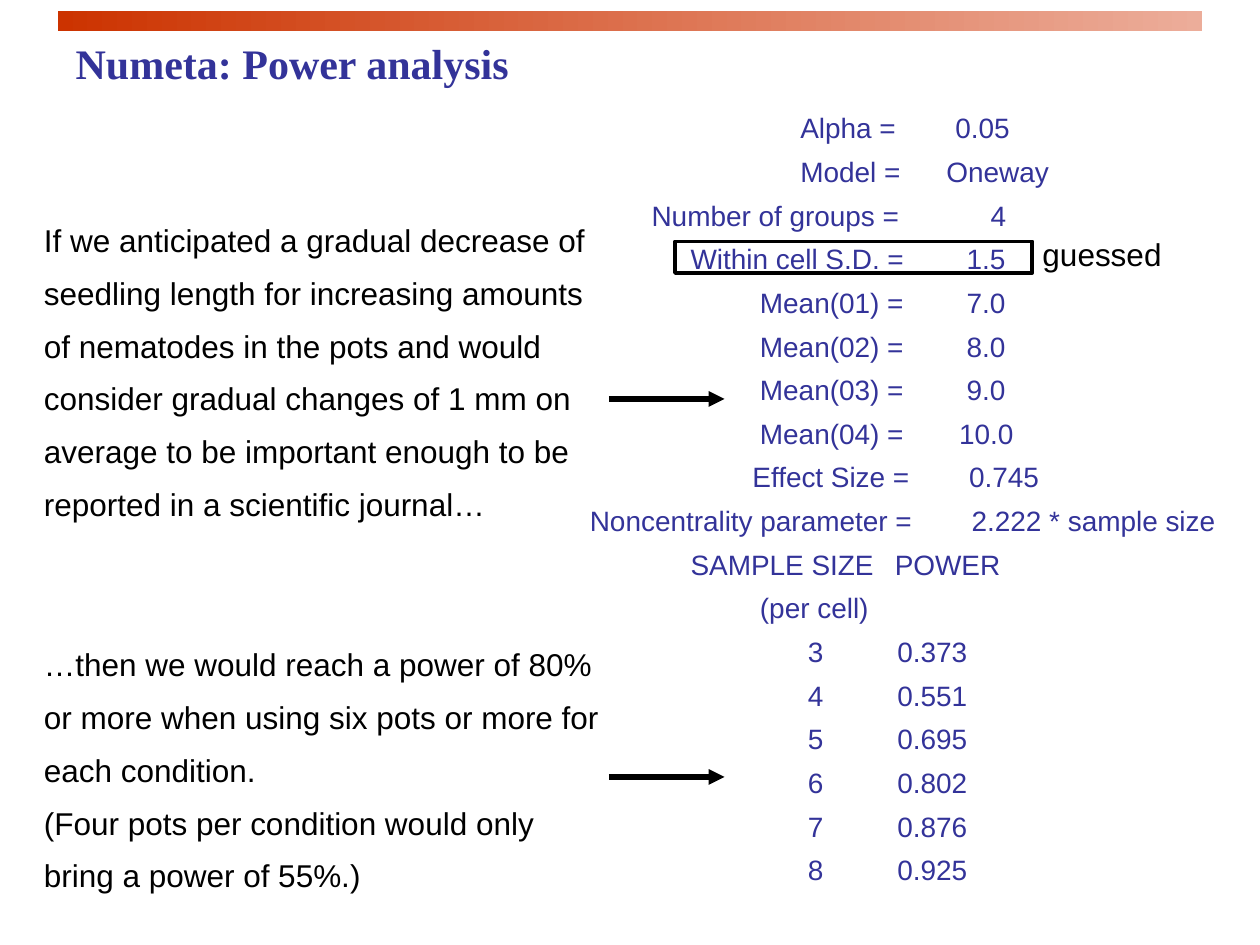
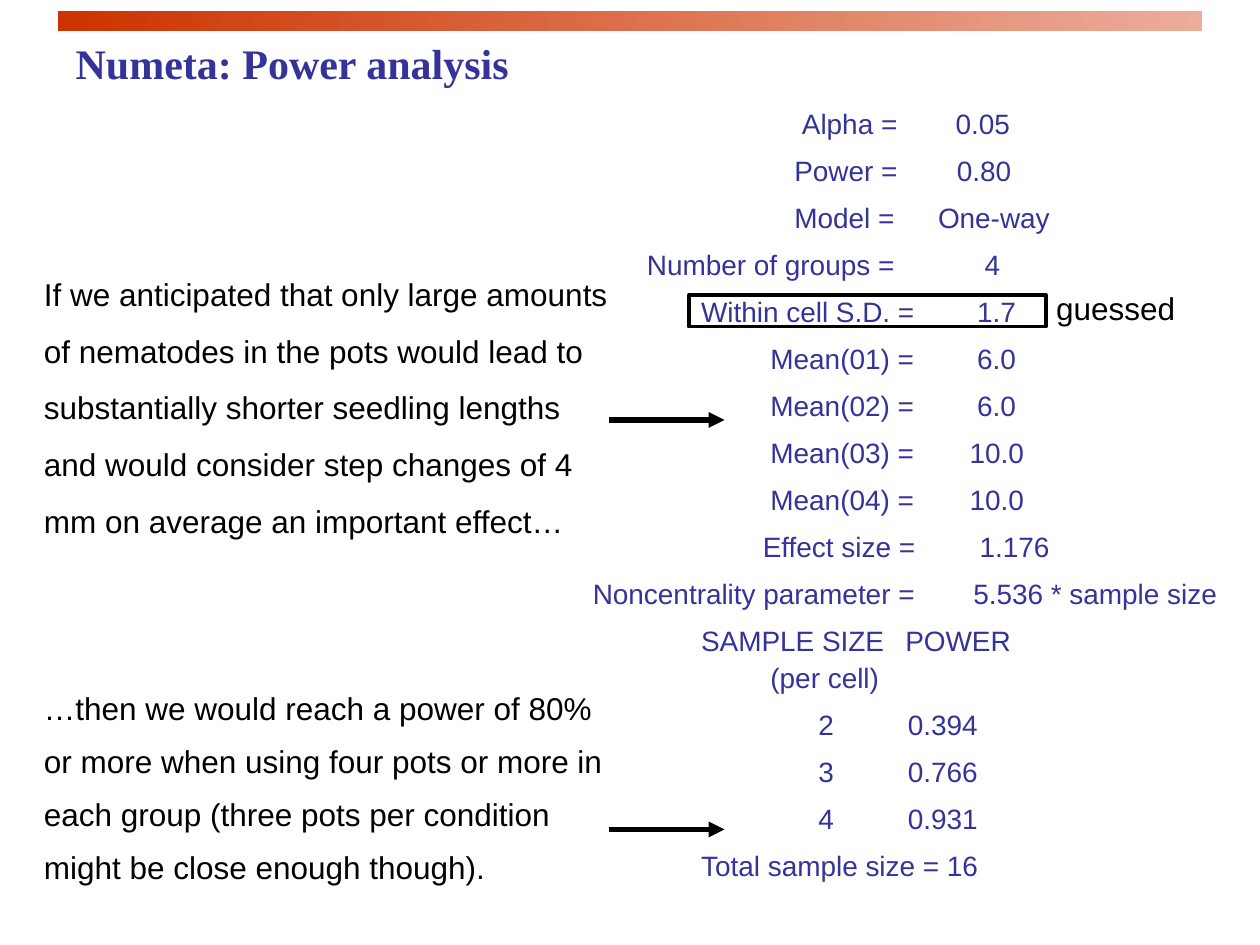
from dataclasses import dataclass

from lxml import etree
from pptx import Presentation
from pptx.dml.color import RGBColor
from pptx.enum.shapes import MSO_CONNECTOR, MSO_SHAPE
from pptx.enum.text import MSO_ANCHOR, PP_ALIGN
from pptx.oxml.ns import qn
from pptx.util import Emu, Inches, Pt

STRAIGHT = MSO_CONNECTOR.STRAIGHT
RECTANGLE = MSO_SHAPE.RECTANGLE
TOP = MSO_ANCHOR.TOP
LEFT = PP_ALIGN.LEFT

COLORS = {"title": "333399", "output": "333399", "text": "000000",
          "band_start": "CC3300", "band_end": "ECAD9A"}
TITLE = "Numeta: Power analysis"
TITLE_FONT, BODY_FONT = "Times New Roman", "Arial"
WIDTH, HEIGHT = Inches(10), Inches(7.5)
COLUMNS, ROWS = 120, 90
ARROW_START, ARROW_END = 58, 69
NOTE_LEFT, NOTE_WIDTH = 3, 56.2
FRAME_WIDTH, FRAME_HEIGHT = 34, 3


@dataclass(frozen=True)
class Area:
    column: float
    row: float
    columns: float
    rows: float

    def lengths(self) -> tuple[Emu, Emu, Emu, Emu]:
        return (across(self.column), down(self.row),
                across(self.columns), down(self.rows))


@dataclass(frozen=True)
class Line:
    label: str
    value: str = ""
    label_stop: float = 1.6
    value_stop: float = 3.24
    spacing: float | None = None


@dataclass(frozen=True)
class Note:
    row: float
    rows: float
    spacing: float
    paragraphs: tuple[str, ...]
    arrow_row: float


@dataclass(frozen=True)
class Analysis:
    output_area: Area
    spacing: float
    lines: list[Line]
    notes: list[Note]
    frame_column: float
    frame_row: float


def across(columns: float) -> Emu:
    return Emu(round(WIDTH * columns / COLUMNS))


def down(rows: float) -> Emu:
    return Emu(round(HEIGHT * rows / ROWS))


def color(name: str) -> RGBColor:
    return RGBColor.from_string(COLORS[name])


def means(*values: str) -> list[Line]:
    return [Line(f"Mean({number:02}) =", value,
                 value_stop=3.24 if len(value) == 3 else 3.18)
            for number, value in enumerate(values, 1)]


def powers(first_size: int, *values: str) -> list[Line]:
    return [Line(str(size), value, 1.98, 2.69)
            for size, value in enumerate(values, first_size)]


def heading(spacing: float | None = None) -> list[Line]:
    return [Line("SAMPLE SIZE", "POWER", 1.05, 2.67),
            Line("(per cell)", spacing=spacing)]


ANALYSES = [
    Analysis(
        Area(52, 9, 66, 76.2), 1.3,
        [Line("Alpha =", "0.05", 1.92, 3.15),
         Line("Model =", "Oneway", 1.92, 3.08),
         Line("Number of groups =", "4", 0.74, 3.43),
         Line("Within cell S.D. =", "1.5", 1.05),
         *means("7.0", "8.0", "9.0", "10.0"),
         Line("Effect Size =", "0.745", 1.54, 3.26),
         Line("Noncentrality parameter =", "2.222 * sample size", 0.25, 3.28),
         *heading(),
         *powers(3, "0.373", "0.551", "0.695", "0.802", "0.876", "0.925")],
        [Note(19, 31.4, 1.4,
              ("If we anticipated a gradual decrease of seedling length for "
               "increasing amounts of nematodes in the pots and would consider "
               "gradual changes of 1 mm on average to be important enough to be "
               "reported in a scientific journal…",), 38),
         Note(59.4, 26.4, 1.4,
              ("…then we would reach a power of 80% or more when using six pots "
               "or more for each condition.",
               "(Four pots per condition would only bring a power of 55%.)"), 74)],
        64.3, 23),
    Analysis(
        Area(53, 8.3, 65, 76.7), 1.4,
        [Line("Alpha =", "0.05", 1.85, 3.07),
         Line("Power =", "0.80", 1.79, 3.08),
         Line("Model =", "One-way", 1.79, 2.93),
         Line("Number of groups =", "4", 0.62, 3.3),
         Line("Within cell S.D. =", "1.7", 1.05),
         *means("6.0", "6.0", "10.0", "10.0"),
         Line("Effect size =", "1.176", 1.54, 3.26),
         Line("Noncentrality parameter =", "5.536 * sample size", 0.19, 3.21),
         *heading(1.1),
         *powers(2, "0.394", "0.766", "0.931"),
         Line("Total sample size = 16", label_stop=1.05)],
        [Note(23.8, 28.3, 1.5,
              ("If we anticipated that only large amounts of nematodes in the "
               "pots would lead to substantially shorter seedling lengths and "
               "would consider step changes of 4 mm on average an important "
               "effect…",), 40),
         Note(63.6, 21.4, 1.4,
              ("…then we would reach a power of 80% or more when using four pots "
               "or more in each group (three pots per condition might be close "
               "enough though).",), 79)],
        65.6, 28.1),
]


def format_paragraph(para, size: float, color_name: str,
                     font_name: str = BODY_FONT, bold: bool = False) -> None:
    para.alignment = LEFT
    para.font.name = font_name
    para.font.size = Pt(size)
    para.font.bold = bold
    para.font.color.rgb = color(color_name)


def add_tab_stops(para, stops: list[float]) -> None:
    tabs = etree.SubElement(para._p.get_or_add_pPr(), qn("a:tabLst"))
    for stop in stops:
        etree.SubElement(tabs, qn("a:tab"), pos=str(Inches(stop)), algn="l")


def add_text(page, area: Area, paragraphs: list[str], size: float,
             color_name: str, spacings: list[float],
             stops: list[list[float]] | None = None, wrap: bool = True) -> None:
    frame = page.shapes.add_textbox(*area.lengths()).text_frame
    frame.word_wrap = wrap
    frame.text = "\n".join(paragraphs)
    for index, para in enumerate(frame.paragraphs):
        para.line_spacing = spacings[index]
        if stops:
            add_tab_stops(para, stops[index])
        format_paragraph(para, size, color_name)


def add_band(page) -> None:
    band = page.shapes.add_shape(RECTANGLE, *Area(5.5, 1, 109, 2).lengths())
    band.shadow.inherit = False
    band.line.fill.background()
    band.fill.gradient()
    band.fill.gradient_angle = 0
    for stop, name in zip(band.fill.gradient_stops, ("band_start", "band_end")):
        stop.color.rgb = color(name)


def format_title(page) -> None:
    title = page.shapes.title
    title.left, title.top, title.width, title.height = Area(6, 3, 108, 10).lengths()
    title.text_frame.text = TITLE
    title.text_frame.vertical_anchor = TOP
    format_paragraph(title.text_frame.paragraphs[0], 24, "title", TITLE_FONT, True)


def add_output(page, analysis: Analysis) -> None:
    lines = analysis.lines
    add_text(page, analysis.output_area,
             [f"\t{line.label}\t{line.value}" if line.value else f"\t{line.label}"
              for line in lines],
             16, "output", [line.spacing or analysis.spacing for line in lines],
             [[line.label_stop, line.value_stop] if line.value
              else [line.label_stop] for line in lines])


def add_arrow(page, row: float) -> None:
    arrow = page.shapes.add_connector(STRAIGHT, across(ARROW_START), down(row),
                                      across(ARROW_END), down(row))
    arrow.line.color.rgb = color("text")
    arrow.line.width = Pt(3)
    etree.SubElement(arrow.line._get_or_add_ln(), qn("a:tailEnd"), type="triangle")
    etree.SubElement(arrow._element.spPr, qn("a:effectLst"))


def add_note(page, note: Note) -> None:
    add_text(page, Area(NOTE_LEFT, note.row, NOTE_WIDTH, note.rows),
             list(note.paragraphs), 18, "text",
             [note.spacing] * len(note.paragraphs))
    add_arrow(page, note.arrow_row)


def add_guess(page, column: float, row: float) -> None:
    area = Area(column, row, FRAME_WIDTH, FRAME_HEIGHT)
    frame = page.shapes.add_shape(RECTANGLE, *area.lengths())
    frame.shadow.inherit = False
    frame.fill.background()
    frame.line.color.rgb = color("text")
    frame.line.width = Pt(2.25)
    add_text(page, Area(column + FRAME_WIDTH - 0.2, row - 1.2, 13.8, 4.8),
             ["guessed"], 18, "text", [1.0], wrap=False)


def main() -> None:
    deck = Presentation()
    deck.slide_width, deck.slide_height = WIDTH, HEIGHT
    for analysis in ANALYSES:
        page = deck.slides.add_slide(deck.slide_layouts[5])
        add_band(page)
        format_title(page)
        add_output(page, analysis)
        for note in analysis.notes:
            add_note(page, note)
        add_guess(page, analysis.frame_column, analysis.frame_row)
    deck.save("out.pptx")


if __name__ == "__main__":
    main()
